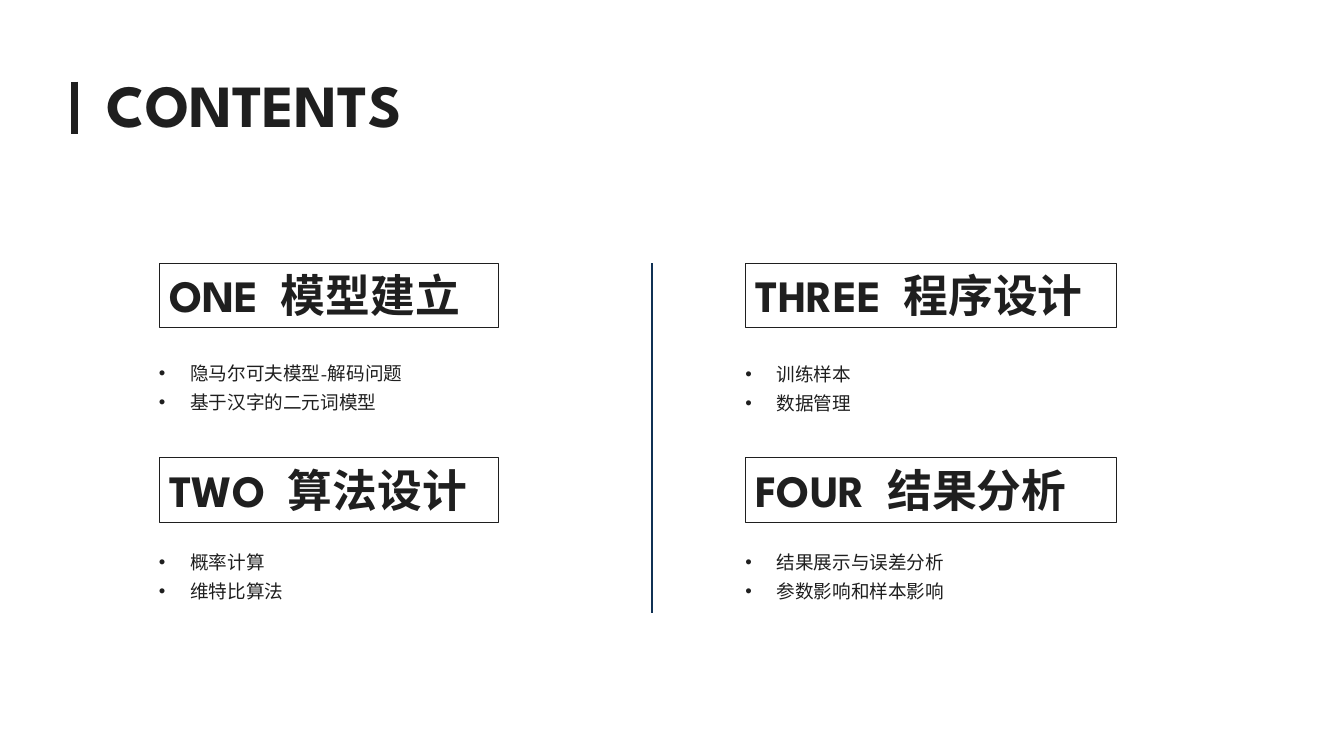
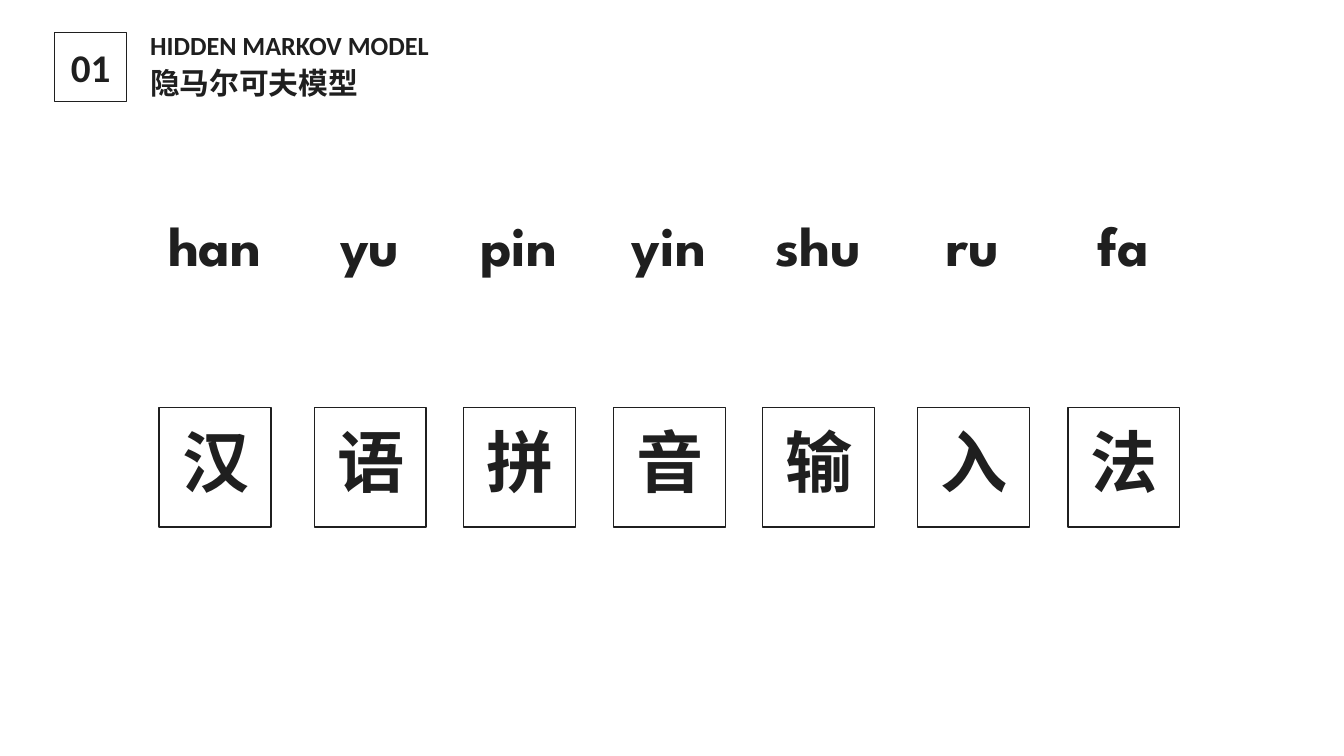
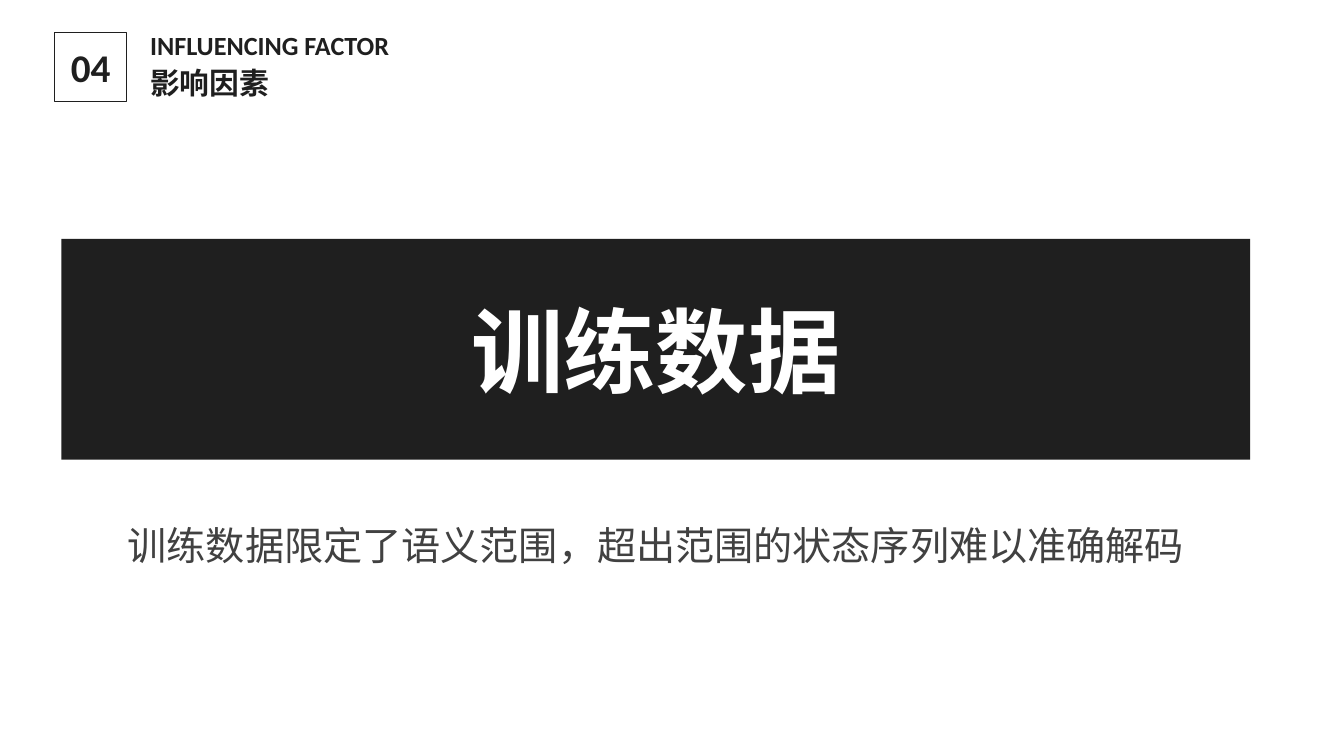
import pptx
import pptx.util
import pptx.dml.color
import pptx.enum.lang
import pptx.enum.shapes
import pptx.enum.text
import pptx.oxml.ns
import lxml.etree

Inches = pptx.util.Inches
Pt = pptx.util.Pt
qn = pptx.oxml.ns.qn
ANCHOR = pptx.enum.text.MSO_ANCHOR
ALIGN = pptx.enum.text.PP_ALIGN

INK = pptx.dml.color.RGBColor(0x1F, 0x1F, 0x1F)
GREY = pptx.dml.color.RGBColor(0x41, 0x41, 0x41)
NAVY = pptx.dml.color.RGBColor(0x10, 0x31, 0x54)
WHITE = pptx.dml.color.RGBColor(0xFF, 0xFF, 0xFF)
DISPLAY = "League Spartan"
LATIN = "Calibri"
CHINESE = "Noto Sans CJK SC"
NARROW = (0.1, 0.05)
WIDE = (0.13, 0.07)


def add_box(slide, at, fill=None, outline=None):
    """Add a rectangle when it has a fill or an outline, else a text box."""
    place = [Inches(length) for length in at]
    if fill is None and outline is None:
        return slide.shapes.add_textbox(*place)
    box = slide.shapes.add_shape(pptx.enum.shapes.MSO_SHAPE.RECTANGLE, *place)
    box.shadow.inherit = False
    if fill is None:
        box.fill.background()
    else:
        box.fill.solid()
        box.fill.fore_color.rgb = fill
    if outline is None:
        box.line.fill.background()
    else:
        box.line.color.rgb = INK
        box.line.width = Pt(outline)
    return box


def write(box, lines, color=INK, bold=True, align=ALIGN.LEFT, anchor=ANCHOR.TOP,
          insets=NARROW, spacing=None, wrap=True, bullet=False, tab=None):
    """Write lines of (text, size, font), one paragraph each."""
    frame = box.text_frame
    frame.word_wrap = wrap
    frame.vertical_anchor = anchor
    frame.margin_left = frame.margin_right = Inches(insets[0])
    frame.margin_top = frame.margin_bottom = Inches(insets[1])
    for index, (text, size, typeface) in enumerate(lines):
        paragraph = frame.paragraphs[0] if index == 0 else frame.add_paragraph()
        paragraph.text = text
        paragraph.alignment = align
        if spacing:
            paragraph.line_spacing = spacing
        properties = paragraph._p.get_or_add_pPr()
        if bullet:
            properties.set("marL", str(Inches(0.31)))
            properties.set("indent", str(-Inches(0.31)))
            lxml.etree.SubElement(properties, qn("a:buFont"), typeface="Arial")
            lxml.etree.SubElement(properties, qn("a:buChar"), char="•")
        if tab:
            stops = lxml.etree.SubElement(properties, qn("a:tabLst"))
            lxml.etree.SubElement(stops, qn("a:tab"), pos=str(Inches(tab)), algn="l")
        font = paragraph.font
        font.size = Pt(size)
        font.bold = bold
        font.color.rgb = color
        font.name = typeface
        font.language_id = pptx.enum.lang.MSO_LANGUAGE_ID.SIMPLIFIED_CHINESE
        # Chinese characters follow the same typeface
        lxml.etree.SubElement(properties.find(qn("a:defRPr")), qn("a:ea"), typeface=typeface)


deck = pptx.Presentation()
deck.slide_width = Inches(13.34)
deck.slide_height = Inches(7.5)
contents, model, factor = [deck.slides.add_slide(deck.slide_layouts[6]) for _ in range(3)]

# Numbered header of the chapter slides
for slide, number, english, chinese in [
    (model, "01", "HIDDEN MARKOV MODEL", "隐马尔可夫模型"),
    (factor, "04", "INFLUENCING FACTOR", "影响因素"),
]:
    write(add_box(slide, (1.36, 0.19, 3.15, 0.88)),
          [(english, 18.7, LATIN), (chinese, 21.3, CHINESE)],
          anchor=ANCHOR.MIDDLE, insets=WIDE, spacing=1.1)
    write(add_box(slide, (0.54, 0.32, 0.72, 0.69), outline=0.75), [(number, 28, LATIN)],
          align=ALIGN.CENTER, anchor=ANCHOR.MIDDLE, insets=WIDE)

# Contents: title, its bar and the column divider
write(add_box(contents, (0.96, 0.62, 3.18, 0.82)), [("CONTENTS", 42.7, DISPLAY)], wrap=False)
for x, top, bottom, color, width in [
    (0.74, 0.81, 1.33, INK, 4.5),
    (6.47, 2.61, 6.08, NAVY, 1),
]:
    rule = contents.shapes.add_connector(
        pptx.enum.shapes.MSO_CONNECTOR.STRAIGHT,
        Inches(x), Inches(top), Inches(x), Inches(bottom))
    rule.line.color.rgb = color
    rule.line.width = Pt(width)
    lxml.etree.SubElement(rule._element.spPr, qn("a:effectLst"))

# Contents: four chapters, a boxed heading over its topics
for left, top, width, topics_top, heading, tab, topics in [
    (1.58, 2.61, 3.37, 3.47, "ONE\t模型建立", 1.11, ["隐马尔可夫模型-解码问题", "基于汉字的二元词模型"]),
    (1.58, 4.54, 3.37, 5.35, "TWO\t算法设计", 1.18, ["概率计算", "维特比算法"]),
    (7.4, 2.61, 3.68, 3.48, "THREE\t程序设计", 1.47, ["训练样本", "数据管理"]),
    (7.4, 4.54, 3.68, 5.35, "FOUR\t结果分析", 1.31, ["结果展示与误差分析", "参数影响和样本影响"]),
]:
    write(add_box(contents, (left, top, width, 0.64), outline=0.75),
          [(heading, 32, DISPLAY)], tab=tab)
    write(add_box(contents, (left - 0.1, topics_top, 4.06, 0.68)),
          [(topic, 13.3, DISPLAY) for topic in topics],
          bold=False, spacing=1.3, bullet=True)

# Hidden Markov model: each syllable above its character
for left, syllable, character in zip(
    [1.58, 3.12, 4.6, 6.09, 7.57, 9.11, 10.6],
    ["han", "yu", "pin", "yin", "shu", "ru", "fa"],
    "汉语拼音输入法",
):
    write(add_box(model, (left - 0.13, 2.02, 1.36, 0.81)), [(syllable, 40, DISPLAY)],
          align=ALIGN.CENTER, insets=WIDE)
    add_box(model, (left, 4.04, 1.11, 1.19), outline=1)
    write(add_box(model, (left + 0.12, 4.12, 0.88, 0.91)), [(character, 48, DISPLAY)],
          align=ALIGN.CENTER, wrap=False)

# Influencing factor: banner and statement
write(add_box(factor, (0.61, 2.37, 11.8, 2.19), fill=INK), [("训练数据", 66, "Arial")],
      color=WHITE, align=ALIGN.CENTER, anchor=ANCHOR.MIDDLE, insets=WIDE)
write(add_box(factor, (0.61, 4.96, 11.8, 0.75)),
      [("训练数据限定了语义范围，超出范围的状态序列难以准确解码", 28, DISPLAY)],
      color=GREY, bold=False, align=ALIGN.CENTER, anchor=ANCHOR.MIDDLE,
      insets=WIDE, spacing=1.3)

deck.save("out.pptx")
